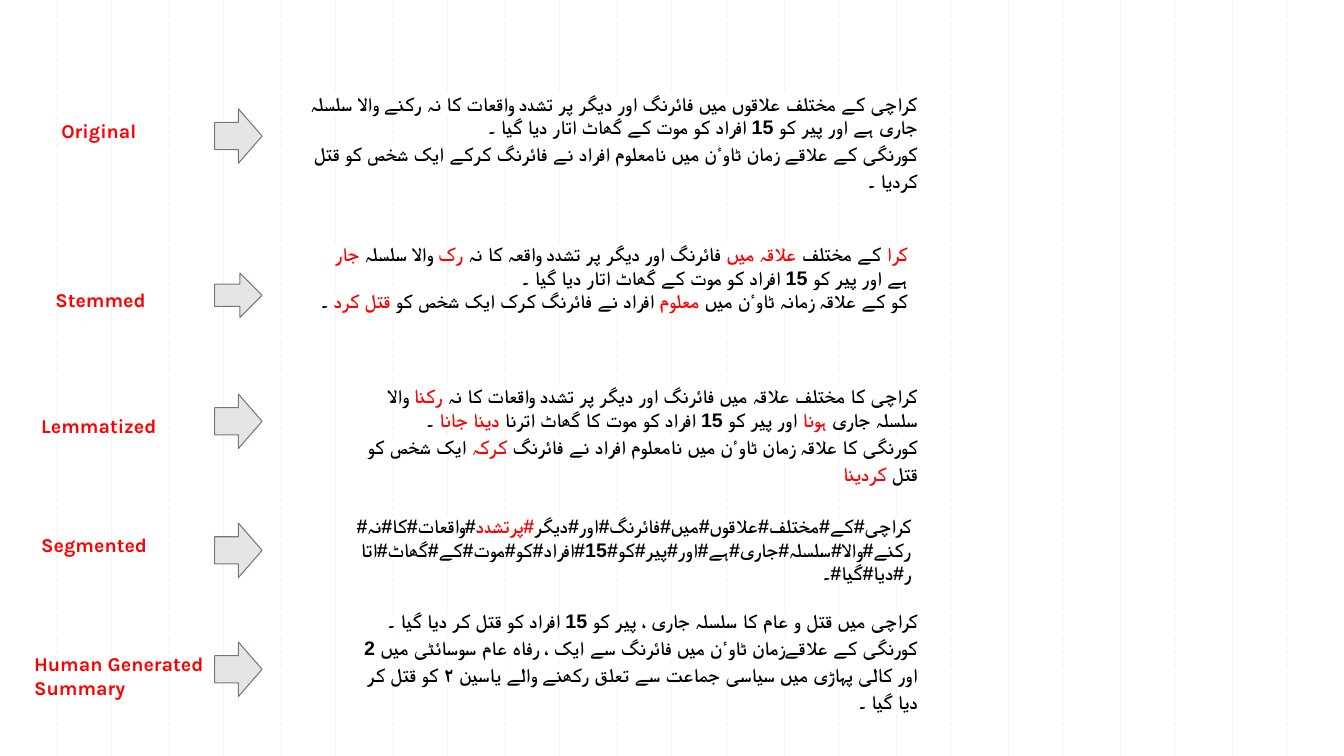
from lxml import etree
from pptx import Presentation
from pptx.dml.color import RGBColor
from pptx.enum.dml import MSO_LINE
from pptx.enum.shapes import MSO_CONNECTOR, MSO_SHAPE
from pptx.enum.text import PP_ALIGN
from pptx.oxml.ns import qn
from pptx.util import Pt

STRAIGHT = MSO_CONNECTOR.STRAIGHT
RIGHT_ARROW = MSO_SHAPE.RIGHT_ARROW
DASH = MSO_LINE.DASH
RIGHT = PP_ALIGN.RIGHT

PX = 9144  # EMU, 100 px to the inch
WIDTH, HEIGHT = 1333, 750
COLORS = {
    "grid": "F3F3F3",
    "arrow": "E5E5E5",
    "outline": "707685",
    "accent": "FF0000",
    "text": "000000",
    "highlight": "FFFFFF",
}
LABEL_FONT = {"name": "Karla", "size": Pt(14), "bold": True}
URDU_FONT = {"name": "Courier New", "size": Pt(14), "bold": True}
COMPLEX_SCRIPT_FONT = "Arial"
FRAME = {
    "word_wrap": True,
    "margin_left": 10 * PX,
    "margin_right": 10 * PX,
    "margin_top": 10 * PX,
    "margin_bottom": 10 * PX,
}

GRID_COLUMNS = 24
ARROW_LEFT, ARROW_WIDTH = 213, 47

# Each row: label, its box, arrow top and height, passage box,
# spacing of the second paragraph, paragraphs with |accented| words.
ROWS = [
    ("Original", (51, 108, 182, 54), (108, 54), (278, 81, 642, 166), 1.15, [
        "کراچی کے مختلف علاقوں میں فائرنگ اور دیگر پر تشدد واقعات کا نہ رکنے والا سلسلہ جاری ہے اور پیر کو 15 افراد کو موت کے گھاٹ اتار دیا گیا ۔",
        "کورنگی کے علاقے زمان ٹاوٴن میں نامعلوم افراد نے فائرنگ کرکے ایک شخص کو قتل کردیا ۔",
    ]),
    ("Stemmed", (45, 276, 182, 54), (271, 44), (298, 230, 612, 114), None, [
        "|کرا| کے مختلف |علاقہ میں| فائرنگ اور دیگر پر تشدد واقعہ کا نہ| رک| والا سلسلہ |جار| ہے اور پیر کو 15 افراد کو موت کے گھاٹ اتار دیا گیا ۔",
        "کو کے علاقہ زمانہ ٹاوٴن میں |معلوم |افراد نے فائرنگ کرک ایک شخص کو| قتل کرد| ۔",
    ]),
    ("Lemmatized", (31, 401, 182, 54), (391, 54), (335, 371, 585, 140), 1.15, [
        "کراچی کا مختلف علاقہ میں فائرنگ اور دیگر پر تشدد واقعات کا نہ |رکنا| والا سلسلہ جاری| ہونا| اور پیر کو 15 افراد کو موت کا گھاٹ اترنا| دینا جانا| ۔",
        "کورنگی کا علاقہ زمان ٹاوٴن میں نامعلوم افراد نے فائرنگ |کرکہ| ایک شخص کو قتل |کردینا|",
    ]),
    ("Segmented", (31, 519, 182, 54), (519, 54), (341, 500, 573, 117), None, [
        "کراچی#کے#مختلف#علاقوں#میں#فائرنگ#اور#دیگر|#پرتشدد|#واقعات#کا#نہ#رکنے#والا#سلسلہ#جاری#ہے#اور#پیر#کو#15#افراد#کو#موت#کے#گھاٹ#اتار#دیا#گیا#۔",
    ]),
    ("Human Generated Summary", (24, 637, 254, 100), (637, 54), (335, 594, 585, 140), 1.15, [
        "کراچی میں قتل و عام کا سلسلہ جاری ، پیر کو 15 افراد کو قتل کر دیا گیا ۔",
        "کورنگی کے علاقےزمان ٹاوٴن میں فائرنگ سے ایک ، رفاہ عام سوسائٹی میں 2 اور کالی پہاڑی میں سیاسی جماعت سے تعلق رکھنے والے یاسین ۲ کو قتل کر دیا گیا ۔",
    ]),
]


def color(name):
    return RGBColor.from_string(COLORS[name])


def apply(target, values):
    """Set every attribute named in values on target."""
    for name, value in values.items():
        setattr(target, name, value)


class SlideBuilder:
    def __init__(self, slide):
        self.slide = slide
        self.shapes = slide.shapes

    def grid_line(self, x, dashed):
        connector = self.shapes.add_connector(STRAIGHT, x * PX, 0, x * PX, 753 * PX)
        connector.line.color.rgb = color("grid")
        connector.line.width = Pt(0.75)
        if dashed:
            connector.line.dash_style = DASH
        etree.SubElement(connector._element.spPr, qn("a:effectLst"))

    def arrow(self, top, height):
        shape = self.shapes.add_shape(
            RIGHT_ARROW, ARROW_LEFT * PX, top * PX, ARROW_WIDTH * PX, height * PX)
        shape.shadow.inherit = False
        shape.fill.solid()
        shape.fill.fore_color.rgb = color("arrow")
        shape.line.color.rgb = color("outline")
        shape.line.width = Pt(0.75)

    def text_frame(self, box):
        frame = self.shapes.add_textbox(*(length * PX for length in box)).text_frame
        apply(frame, FRAME)
        return frame

    def run(self, paragraph, text, font, color_name):
        run = paragraph.add_run()
        run.text = text
        apply(run.font, font)
        run.font.color.rgb = color(color_name)
        return run

    def label(self, text, box):
        self.run(self.text_frame(box).paragraphs[0], text, LABEL_FONT, "accent")

    def passage(self, texts, box, second_spacing):
        """Right-to-left paragraphs; text between bars takes the accent colour."""
        frame = self.text_frame(box)
        for index, text in enumerate(texts):
            paragraph = frame.add_paragraph() if index else frame.paragraphs[0]
            paragraph.alignment = RIGHT
            paragraph._p.get_or_add_pPr().set("rtl", "1")
            if index and second_spacing:
                paragraph.line_spacing = second_spacing
            for position, piece in enumerate(text.split("|")):
                if piece:
                    name = "accent" if position % 2 else "text"
                    self.highlight(self.run(paragraph, piece, URDU_FONT, name))

    def highlight(self, run):
        """Add the white highlight and the complex-script font to a run."""
        properties = run.font._element
        highlight = etree.Element(qn("a:highlight"))
        etree.SubElement(highlight, qn("a:srgbClr"), val=COLORS["highlight"])
        properties.find(qn("a:solidFill")).addnext(highlight)
        etree.SubElement(properties, qn("a:cs"), typeface=COMPLEX_SCRIPT_FONT)


def main():
    presentation = Presentation()
    presentation.slide_width = WIDTH * PX
    presentation.slide_height = HEIGHT * PX
    builder = SlideBuilder(presentation.slides.add_slide(presentation.slide_layouts[6]))

    for column in range(1, GRID_COLUMNS):
        builder.grid_line(round(column * WIDTH / GRID_COLUMNS), column % 2 == 1)

    for label, label_box, arrow, passage_box, spacing, texts in ROWS:
        builder.label(label, label_box)
        builder.arrow(*arrow)
        builder.passage(texts, passage_box, spacing)

    presentation.save("out.pptx")


if __name__ == "__main__":
    main()
